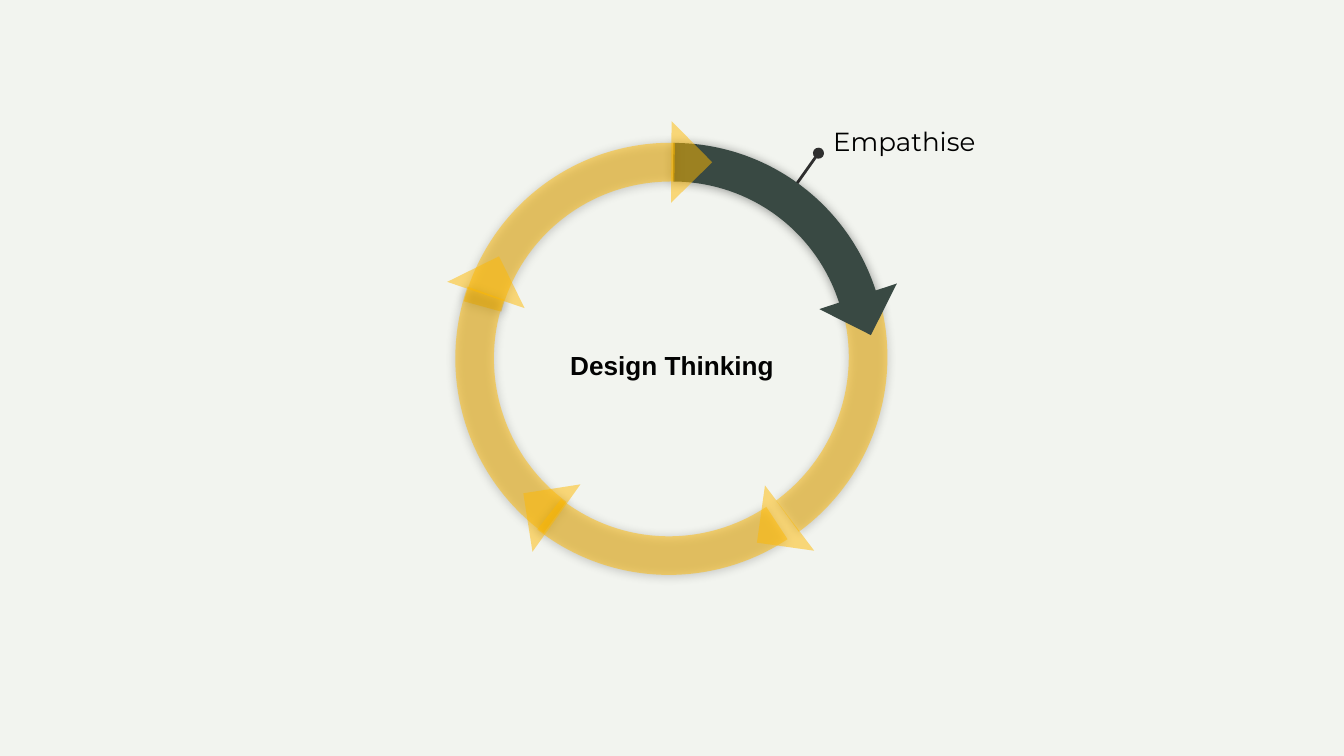
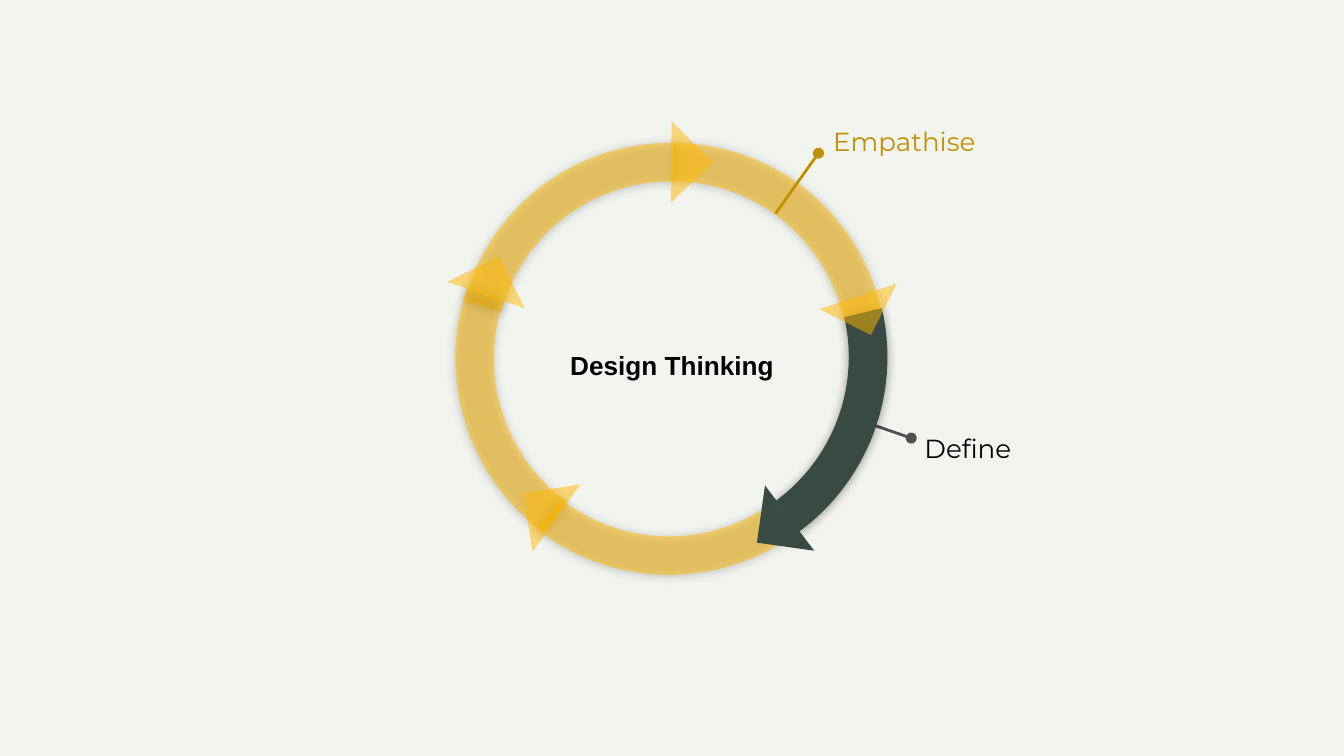
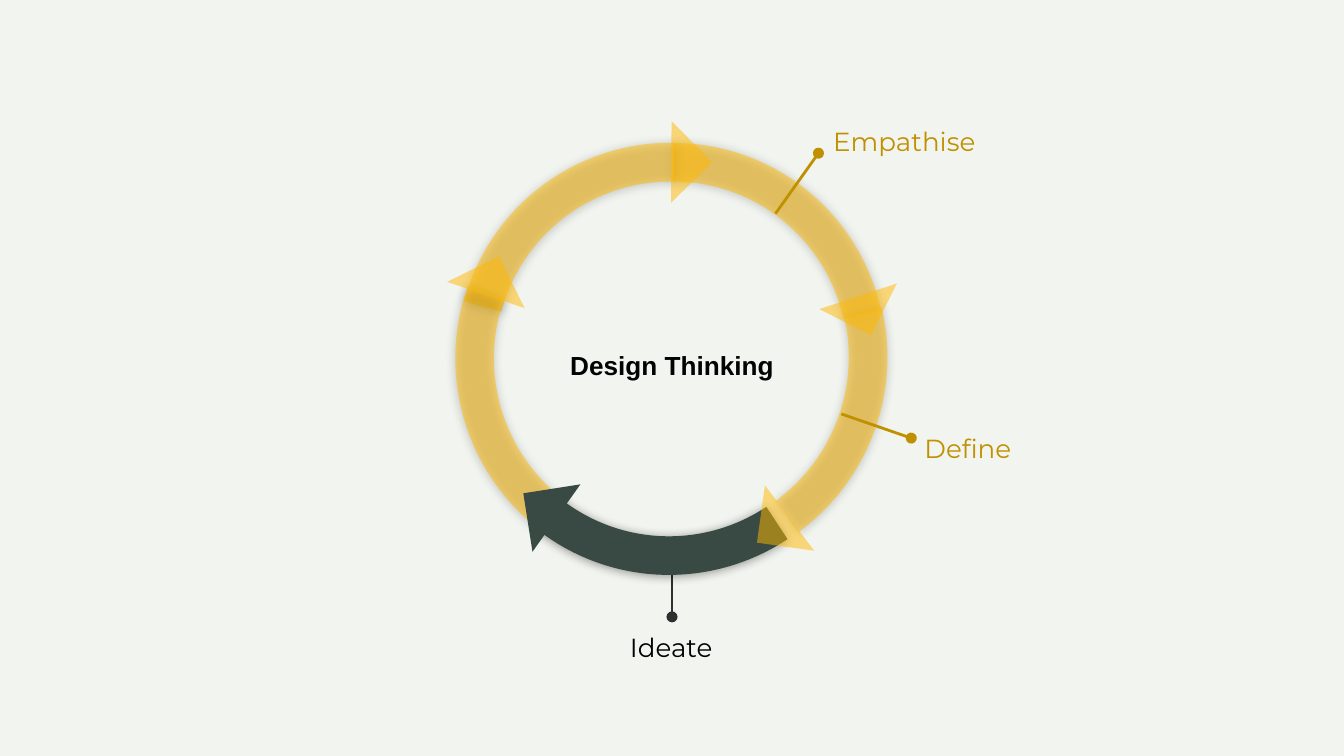
from dataclasses import dataclass
from lxml.etree import SubElement
from pptx import Presentation
from pptx.dml.color import RGBColor as RGB
from pptx.enum.shapes import MSO_CONNECTOR as Link, MSO_SHAPE as Form
from pptx.enum.text import MSO_ANCHOR as Anchor, PP_ALIGN as Align
from pptx.oxml.ns import qn
from pptx.util import Inches, Pt


@dataclass(frozen=True)
class Theme:
    back: str = "F2F4EF"
    dark: str = "394943"
    gold: str = "FFB900"
    past: str = "BF9000"
    ink: str = "000000"
    title: str = "020202"
    size: float = 14
    line: float = 1.5
    space: float = 1.15
    body: str = "Montserrat"
    head: str = "Arial"


@dataclass(frozen=True)
class Arc:
    box: tuple
    turn: float
    flip: bool
    start: float
    end: float


@dataclass(frozen=True)
class Tip:
    box: tuple
    turn: float


@dataclass(frozen=True)
class Label:
    text: str
    dot: tuple
    root: tuple
    box: tuple
    align: Align
    line: str


ARCS = {
    "empathise": Arc((3.4, 1.06, 3.19, 3.22), 30.3, False, 240.24, 316.64),
    "define": Arc((3.41, 1.06, 3.19, 3.21), 210.3, True, 336.31, 43.73),
    "last": Arc((3.4, 1.06, 3.2, 3.22), 329.7, True, 238.9, 314.25),
    "fourth": Arc((3.39, 1.07, 3.19, 3.21), 149.7, False, 336.41, 50.12),
    "ideate": Arc((3.39, 1.07, 3.19, 3.21), 210.3, True, 262.31, 333.47),
}
TIPS = {
    "empathise": Tip((6.17, 1.99, 0.43, 0.43), 296.7),
    "fourth": Tip((3.4, 1.98, 0.43, 0.43), 153.7),
    "define": Tip((5.66, 3.64, 0.43, 0.43), 8),
    "ideate": Tip((3.92, 3.64, 0.44, 0.43), 81.1),
    "last": Tip((4.78, 0.99, 0.43, 0.43), 225.4),
}
LABELS = {
    "empathise": Label("Empathise", (6.09, 1.14), (5.77, 1.59),
                       (6.1, 0.8, 1.77, 0.8), Align.LEFT, "2F2F2F"),
    "define": Label("Define", (6.78, 3.26), (6.26, 3.08),
                    (6.78, 3.08, 1.77, 0.8), Align.LEFT, "505050"),
    "ideate": Label("Ideate", (5, 4.59), (5, 4),
                    (4.11, 4.56, 1.77, 0.8), Align.CENTER, "2F2F2F"),
}


def assign(item, values):
    for name, value in values.items():
        setattr(item, name, value)


def scale(values):
    return [Inches(value) for value in values]


class Deck:
    def __init__(self, theme):
        self.theme = theme
        self.show = Presentation()
        width = Inches(10)
        assign(self.show, {"slide_width": width, "slide_height": width * 9 // 16})
        fill = self.show.slide_master.background.fill
        fill.solid()
        fill.fore_color.rgb = RGB.from_string(theme.back)
        self.slide = None

    def page(self):
        self.slide = self.show.slides.add_slide(self.show.slide_layouts[6])

    def shape(self, form, part, live):
        shape = self.slide.shapes.add_shape(form, *scale(part.box))
        shape.rotation = part.turn
        shape.line.fill.background()
        shape.shadow.inherit = False
        shape.fill.solid()
        color = self.theme.dark if live else self.theme.gold
        shape.fill.fore_color.rgb = RGB.from_string(color)
        if not live:
            tone = shape.element.spPr.find(f"{qn('a:solidFill')}/{qn('a:srgbClr')}")
            SubElement(tone, qn("a:alpha"), val="50000")
        return shape

    def arc(self, part, live):
        shape = self.shape(Form.BLOCK_ARC, part, live)
        for spot, value in enumerate((part.start * 0.6, part.end * 0.6, 0.09)):
            shape.adjustments[spot] = value
        props = shape.element.spPr
        if part.flip:
            props.find(qn("a:xfrm")).set("flipH", "1")
        shade = SubElement(props.find(qn("a:effectLst")), qn("a:outerShdw"),
                           blurRad=str(Pt(5.6)), dist=str(Pt(0.75)),
                           dir="5400000", algn="bl", rotWithShape="0")
        tone = SubElement(shade, qn("a:srgbClr"), val=self.theme.ink)
        SubElement(tone, qn("a:alpha"), val="40000")

    def tip(self, part, live):
        self.shape(Form.RIGHT_TRIANGLE, part, live)

    def text(self, home, words, box, color, align, font, bold=False,
             anchor=Anchor.TOP, left=0.1):
        frame = home.add_textbox(*scale(box)).text_frame
        edge = Inches(0.1)
        assign(frame, {"word_wrap": True, "vertical_anchor": anchor,
                       "margin_left": Inches(left), "margin_right": edge,
                       "margin_top": edge, "margin_bottom": edge})
        para = frame.paragraphs[0]
        assign(para, {"alignment": align, "line_spacing": self.theme.space})
        run = para.add_run()
        run.text = words
        assign(run.font, {"name": font, "size": Pt(self.theme.size), "bold": bold})
        run.font.color.rgb = RGB.from_string(color)

    def line(self, home, start, end, color):
        line = home.add_connector(Link.STRAIGHT, *scale(start + end))
        line.line.width = Pt(self.theme.line)
        line.line.color.rgb = RGB.from_string(color)
        props = line.element.spPr
        SubElement(props.find(qn("a:ln")), qn("a:headEnd"), type="oval")
        SubElement(props, qn("a:effectLst"))

    def label(self, part, live):
        home = self.slide.shapes.add_group_shape().shapes
        past = self.theme.past
        self.line(home, part.dot, part.root, part.line if live else past)
        self.text(home, part.text, part.box, self.theme.ink if live else past,
                  part.align, self.theme.body)

    def cycle(self, step):
        for name, part in ARCS.items():
            self.arc(part, name == step)
        self.text(self.slide.shapes, "Design Thinking", (3.93, 2.22, 2.12, 0.96),
                  self.theme.title, Align.CENTER, self.theme.head, True,
                  Anchor.MIDDLE, 0.12)
        for name, part in TIPS.items():
            self.tip(part, name == step)


def main():
    deck = Deck(Theme())
    steps = list(LABELS)
    for spot, step in enumerate(steps):
        deck.page()
        deck.label(LABELS[step], True)
        deck.cycle(step)
        for past in reversed(steps[:spot]):
            deck.label(LABELS[past], False)
    deck.show.save("out.pptx")


if __name__ == "__main__":
    main()
